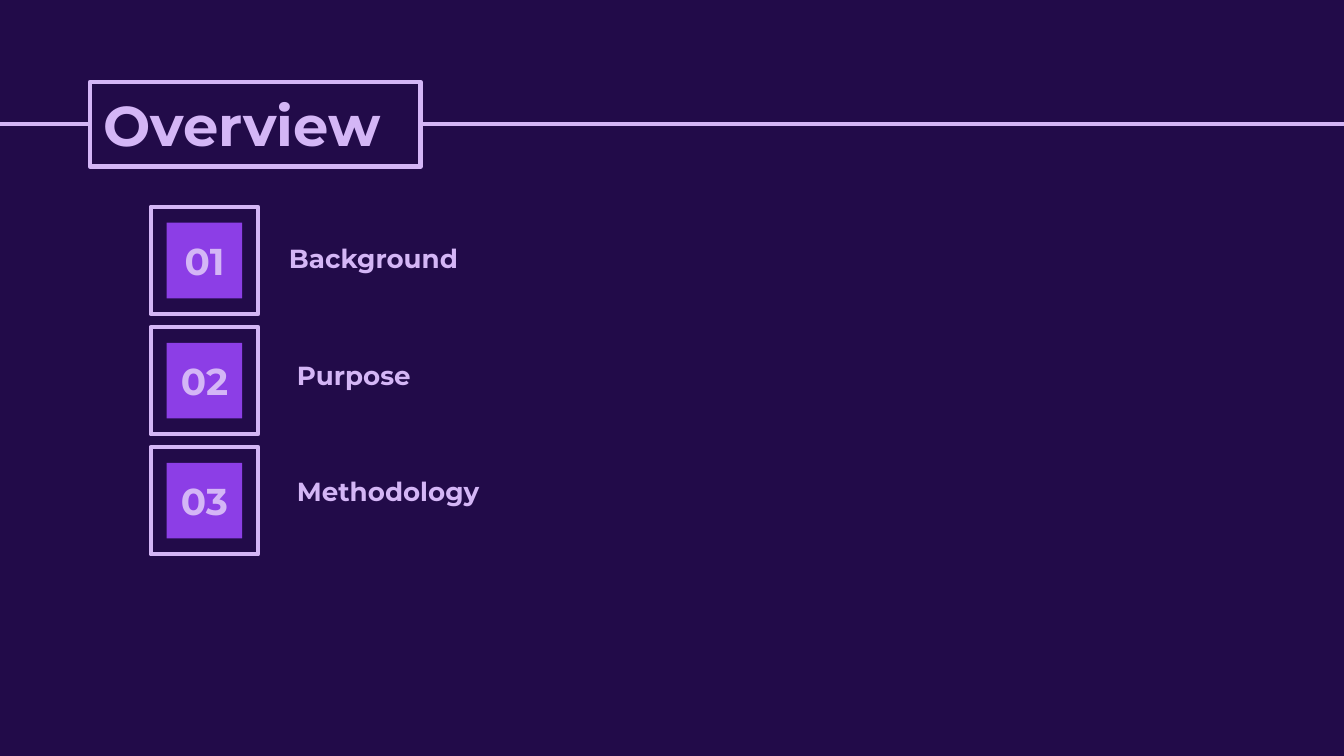
"""Build the overview slide: a framed title on a rule and three numbered topics."""
from dataclasses import dataclass

from lxml.etree import SubElement
from pptx import Presentation
from pptx.dml.color import RGBColor as Color
from pptx.enum.shapes import MSO_CONNECTOR as Connector, MSO_SHAPE as Preset
from pptx.enum.text import MSO_ANCHOR as Anchor, PP_ALIGN as Align
from pptx.oxml.ns import qn
from pptx.shapes.autoshape import Shape
from pptx.shapes.shapetree import GroupShapes, SlideShapes
from pptx.util import Cm, Pt


@dataclass(frozen=True)
class Theme:
    background: Color = Color.from_string("220B49")
    lilac: Color = Color.from_string("D4B6F6")
    violet: Color = Color.from_string("8C3EE6")
    font: str = "Montserrat"
    title_size: float = 30
    number_size: float = 20
    label_size: float = 14
    line_width: float = 2.25


@dataclass(frozen=True)
class Box:
    left: float
    top: float
    width: float
    height: float

    def lengths(self) -> tuple[Cm, Cm, Cm, Cm]:
        return Cm(self.left), Cm(self.top), Cm(self.width), Cm(self.height)

    def inset(self, margin: float) -> "Box":
        return Box(self.left + margin, self.top + margin,
                   self.width - 2 * margin, self.height - 2 * margin)


@dataclass(frozen=True)
class Topic:
    number: str
    label: str
    label_left: float


THEME = Theme()
SLIDE_WIDTH, SLIDE_HEIGHT = 25.4, 14.29
TITLE_BOX = Box(1.7, 1.55, 6.25, 1.6)
RULE_LEFT, RULE_Y = -0.15, 2.34
BADGE_LEFT, BADGE_TOP, BADGE_SIDE, BADGE_PITCH = 2.85, 3.91, 2.03, 2.27
BADGE_MARGIN = 0.3
NUMBER_OFFSET, NUMBER_HEIGHT = 0.53, 0.97
LABEL_TOP, LABEL_PITCH, LABEL_WIDTH, LABEL_HEIGHT = 4.34, 2.2, 6.55, 1.17
TEXT_INSET = 0.25
TOPICS = (
    Topic("01", "Background", 5.21),
    Topic("02", "Purpose", 5.36),
    Topic("03", "Methodology", 5.36),
)


def add_rectangle(shapes: SlideShapes | GroupShapes, box: Box,
                  fill: Color | None = None, line: Color | None = None) -> Shape:
    shape = shapes.add_shape(Preset.RECTANGLE, *box.lengths())
    shape.shadow.inherit = False
    if fill is None:
        shape.fill.background()
    else:
        shape.fill.solid()
        shape.fill.fore_color.rgb = fill
    if line is None:
        shape.line.fill.background()
    else:
        shape.line.color.rgb = line
        shape.line.width = Pt(THEME.line_width)
    return shape


def write_text(shape: Shape, text: str, size: float,
               anchor: Anchor = Anchor.MIDDLE, align: Align = Align.LEFT) -> None:
    frame = shape.text_frame
    frame.word_wrap = True
    frame.vertical_anchor = anchor
    frame.margin_left = frame.margin_right = Cm(TEXT_INSET)
    frame.margin_top = frame.margin_bottom = Cm(TEXT_INSET)
    paragraph = frame.paragraphs[0]
    paragraph.text = text
    paragraph.alignment = align
    font = paragraph.font
    font.name, font.size, font.bold = THEME.font, Pt(size), True
    font.color.rgb = THEME.lilac


def add_rule(shapes: SlideShapes) -> None:
    rule = shapes.add_connector(Connector.STRAIGHT, Cm(RULE_LEFT), Cm(RULE_Y),
                                Cm(SLIDE_WIDTH), Cm(RULE_Y))
    rule.line.color.rgb = THEME.lilac
    rule.line.width = Pt(THEME.line_width)
    SubElement(rule._element.spPr, qn("a:effectLst"))


def add_topic(shapes: SlideShapes, index: int, topic: Topic) -> None:
    badge = Box(BADGE_LEFT, BADGE_TOP + index * BADGE_PITCH, BADGE_SIDE, BADGE_SIDE)
    group = shapes.add_group_shape()
    add_rectangle(group.shapes, badge, line=THEME.lilac)
    add_rectangle(group.shapes, badge.inset(BADGE_MARGIN), fill=THEME.violet)

    number_box = Box(badge.left, badge.top + NUMBER_OFFSET, badge.width, NUMBER_HEIGHT)
    write_text(shapes.add_textbox(*number_box.lengths()), topic.number,
               THEME.number_size, align=Align.CENTER)

    label_box = Box(topic.label_left, LABEL_TOP + index * LABEL_PITCH,
                    LABEL_WIDTH, LABEL_HEIGHT)
    write_text(shapes.add_textbox(*label_box.lengths()), topic.label,
               THEME.label_size, anchor=Anchor.TOP)


def main() -> None:
    presentation = Presentation()
    presentation.slide_width = Cm(SLIDE_WIDTH)
    presentation.slide_height = Cm(SLIDE_HEIGHT)
    slide = presentation.slides.add_slide(presentation.slide_layouts[6])
    slide.background.fill.solid()
    slide.background.fill.fore_color.rgb = THEME.background

    add_rule(slide.shapes)
    title = add_rectangle(slide.shapes, TITLE_BOX, THEME.background, THEME.lilac)
    write_text(title, "Overview", THEME.title_size)
    for index, topic in enumerate(TOPICS):
        add_topic(slide.shapes, index, topic)

    presentation.save("out.pptx")


if __name__ == "__main__":
    main()
